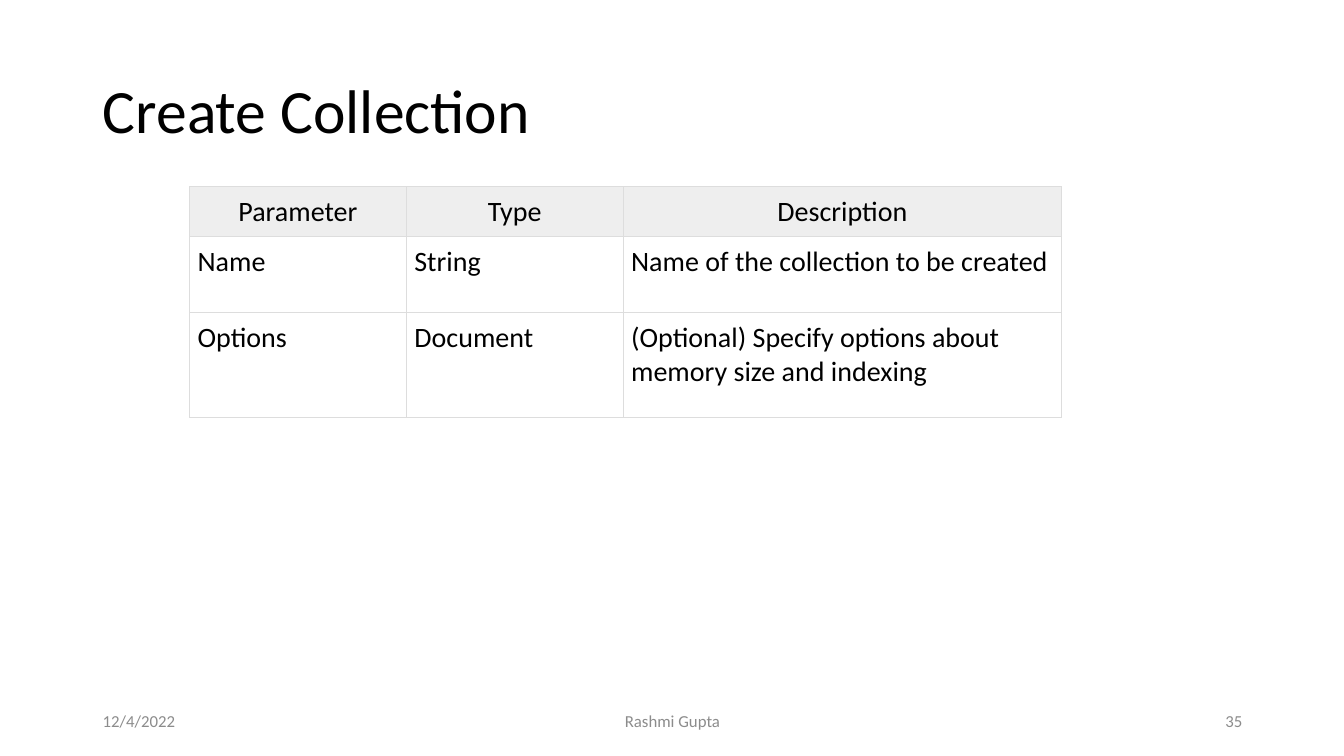
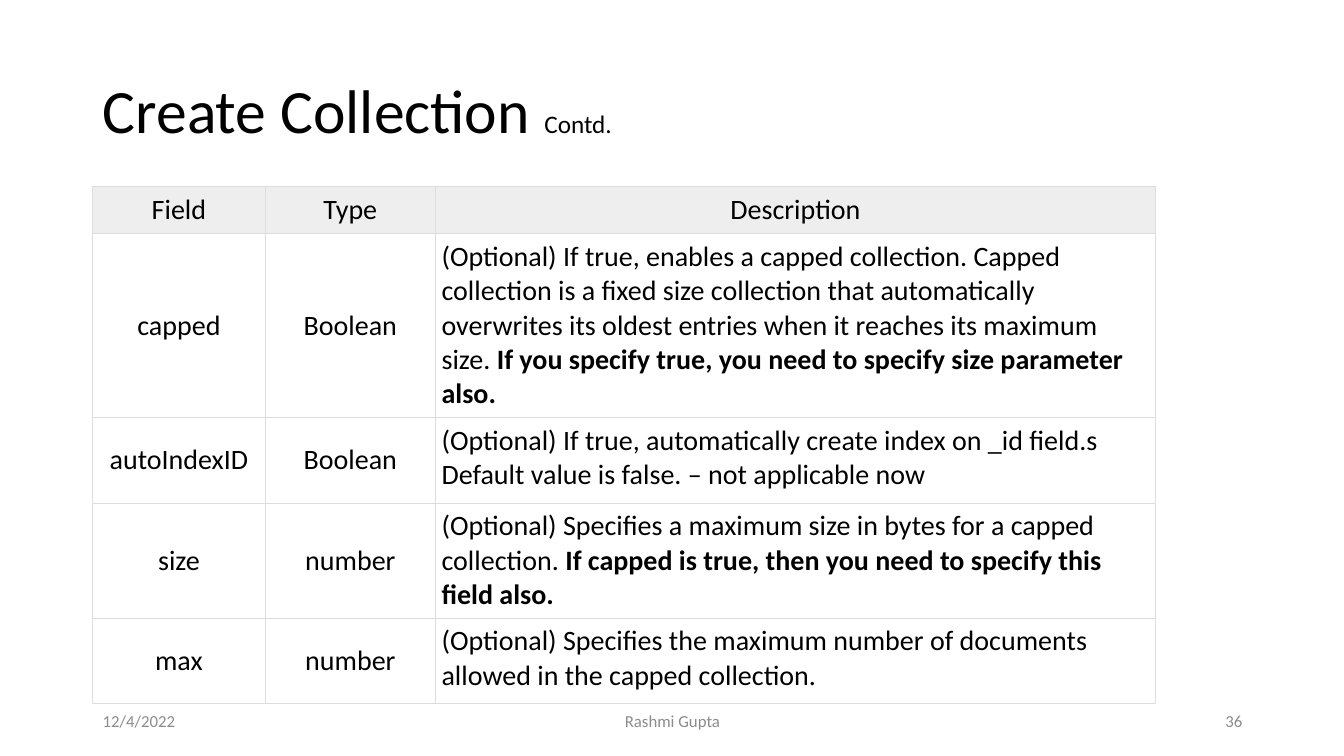
from dataclasses import dataclass

from lxml.etree import SubElement
from pptx import Presentation
from pptx.dml.color import RGBColor
from pptx.enum.text import MSO_ANCHOR, PP_ALIGN
from pptx.oxml.ns import qn
from pptx.slide import Slide
from pptx.table import _Cell
from pptx.util import Inches, Pt


@dataclass(frozen=True)
class Theme:
    font: str = "Calibri"
    text: str = "000000"
    muted: str = "8C8C8C"
    header_fill: str = "EEEEEE"
    border: str = "DDDDDD"
    border_width: float = 0.75
    title_size: int = 44
    title_note_size: int = 18
    table_size: int = 20
    footer_size: int = 12


THEME = Theme()


@dataclass(frozen=True)
class Span:
    text: str
    size: int = THEME.table_size
    color: str = THEME.text
    bold: bool = False


@dataclass(frozen=True)
class FooterPart:
    text: str
    left: float
    width: float
    align: PP_ALIGN


@dataclass(frozen=True)
class TableSpec:
    left: float
    columns: list[float]
    heights: list[float]
    inset: float
    centered_columns: int
    rows: list[list[str | list[Span]]]


@dataclass(frozen=True)
class Page:
    number: int
    title: list[Span]
    table: TableSpec


TABLE_TOP = 1.85
HEADING = Span("Create Collection", THEME.title_size)

PAGES = [
    Page(35, [HEADING], TableSpec(
        left=1.88,
        columns=[2.15, 2.15, 4.35],
        heights=[0.5, 0.75, 1.04],
        inset=0.08,
        centered_columns=0,
        rows=[
            ["Parameter", "Type", "Description"],
            ["Name", "String", "Name of the collection to be created"],
            ["Options", "Document",
             "(Optional) Specify options about memory size and indexing"],
        ],
    )),
    Page(36, [HEADING, Span(" ", THEME.title_size), Span("Contd.", THEME.title_note_size)], TableSpec(
        left=0.92,
        columns=[1.71, 1.69, 7.14],
        heights=[0.47, 1.82, 0.85, 1.14, 0.85],
        inset=0.06,
        centered_columns=2,
        rows=[
            ["Field", "Type", "Description"],
            ["capped", "Boolean", [
                Span("(Optional) If true, enables a capped collection. Capped collection is a "
                     "fixed size collection that automatically overwrites its oldest entries "
                     "when it reaches its maximum size. "),
                Span("If you specify true, you need to specify size parameter also.", bold=True),
            ]],
            ["autoIndexID", "Boolean",
             "(Optional) If true, automatically create index on _id field.s "
             "Default value is false. – not applicable now"],
            ["size", "number", [
                Span("(Optional) Specifies a maximum size in bytes for a capped collection. "),
                Span("If capped is true, then you need to specify this field also.", bold=True),
            ]],
            ["max", "number",
             "(Optional) Specifies the maximum number of documents allowed in the "
             "capped collection."],
        ],
    )),
]


def write(para, spans: list[Span], align: PP_ALIGN = PP_ALIGN.LEFT) -> None:
    para.alignment = align
    for span in spans:
        run = para.add_run()
        run.text = span.text
        run.font.name = THEME.font
        run.font.size = Pt(span.size)
        run.font.bold = span.bold
        run.font.color.rgb = RGBColor.from_string(span.color)


def add_title(slide: Slide, spans: list[Span]) -> None:
    title = slide.shapes.title
    title.left, title.top = Inches(0.92), Inches(0.4)
    title.width, title.height = Inches(11.5), Inches(1.45)
    title.text_frame.vertical_anchor = MSO_ANCHOR.MIDDLE
    para = title.text_frame.paragraphs[0]
    para.line_spacing = 0.9
    write(para, spans)


def add_footer(slide: Slide, number: int) -> None:
    parts = [
        FooterPart("12/4/2022", 0.92, 3, PP_ALIGN.LEFT),
        FooterPart("Rashmi Gupta", 4.42, 4.5, PP_ALIGN.CENTER),
        FooterPart(str(number), 9.42, 3, PP_ALIGN.RIGHT),
    ]
    for part in parts:
        box = slide.shapes.add_textbox(
            Inches(part.left), Inches(6.95), Inches(part.width), Inches(0.4))
        frame = box.text_frame
        frame.word_wrap = True
        frame.vertical_anchor = MSO_ANCHOR.MIDDLE
        write(frame.paragraphs[0],
              [Span(part.text, THEME.footer_size, THEME.muted)], part.align)


def add_borders(cell: _Cell) -> None:
    """Outline all four sides; must run before the fill is set."""
    properties = cell._tc.get_or_add_tcPr()
    for side in ("a:lnL", "a:lnR", "a:lnT", "a:lnB"):
        line = SubElement(properties, qn(side), w=str(Pt(THEME.border_width)))
        fill = SubElement(line, qn("a:solidFill"))
        SubElement(fill, qn("a:srgbClr"), val=THEME.border)


def fill_cell(cell: _Cell, content: str | list[Span], inset: float,
              is_header: bool, is_centered: bool) -> None:
    add_borders(cell)
    cell.margin_left = cell.margin_right = Inches(inset)
    cell.margin_top = cell.margin_bottom = Inches(inset)
    if is_header:
        cell.fill.solid()
        cell.fill.fore_color.rgb = RGBColor.from_string(THEME.header_fill)
    else:
        cell.fill.background()
    middle = is_centered and not is_header
    cell.vertical_anchor = MSO_ANCHOR.MIDDLE if middle else MSO_ANCHOR.TOP
    spans = [Span(content)] if isinstance(content, str) else content
    align = PP_ALIGN.CENTER if is_header or is_centered else PP_ALIGN.LEFT
    write(cell.text_frame.paragraphs[0], spans, align)


def add_parameter_table(slide: Slide, spec: TableSpec) -> None:
    table = slide.shapes.add_table(
        len(spec.rows), len(spec.columns), Inches(spec.left), Inches(TABLE_TOP),
        Inches(sum(spec.columns)), Inches(sum(spec.heights))).table
    table.first_row = table.horz_banding = False
    for column, width in zip(table.columns, spec.columns):
        column.width = Inches(width)
    for row, height in zip(table.rows, spec.heights):
        row.height = Inches(height)
    for row_index, row in enumerate(spec.rows):
        for column_index, content in enumerate(row):
            fill_cell(table.cell(row_index, column_index), content, spec.inset,
                      is_header=row_index == 0,
                      is_centered=column_index < spec.centered_columns)


def main() -> None:
    deck = Presentation()
    deck.slide_width, deck.slide_height = Inches(13.33), Inches(7.5)
    title_only = deck.slide_layouts[5]
    for page in PAGES:
        slide = deck.slides.add_slide(title_only)
        add_title(slide, page.title)
        add_parameter_table(slide, page.table)
        add_footer(slide, page.number)
    deck.save("out.pptx")


if __name__ == "__main__":
    main()
